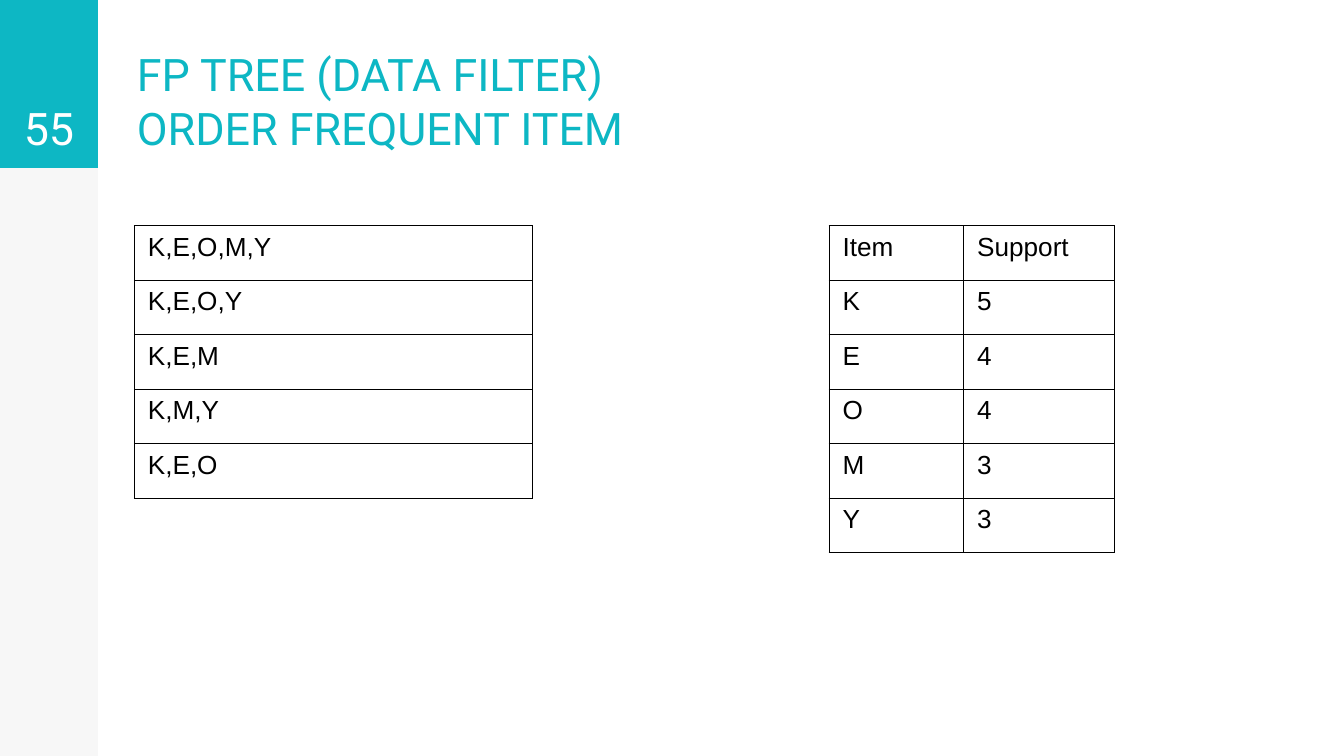
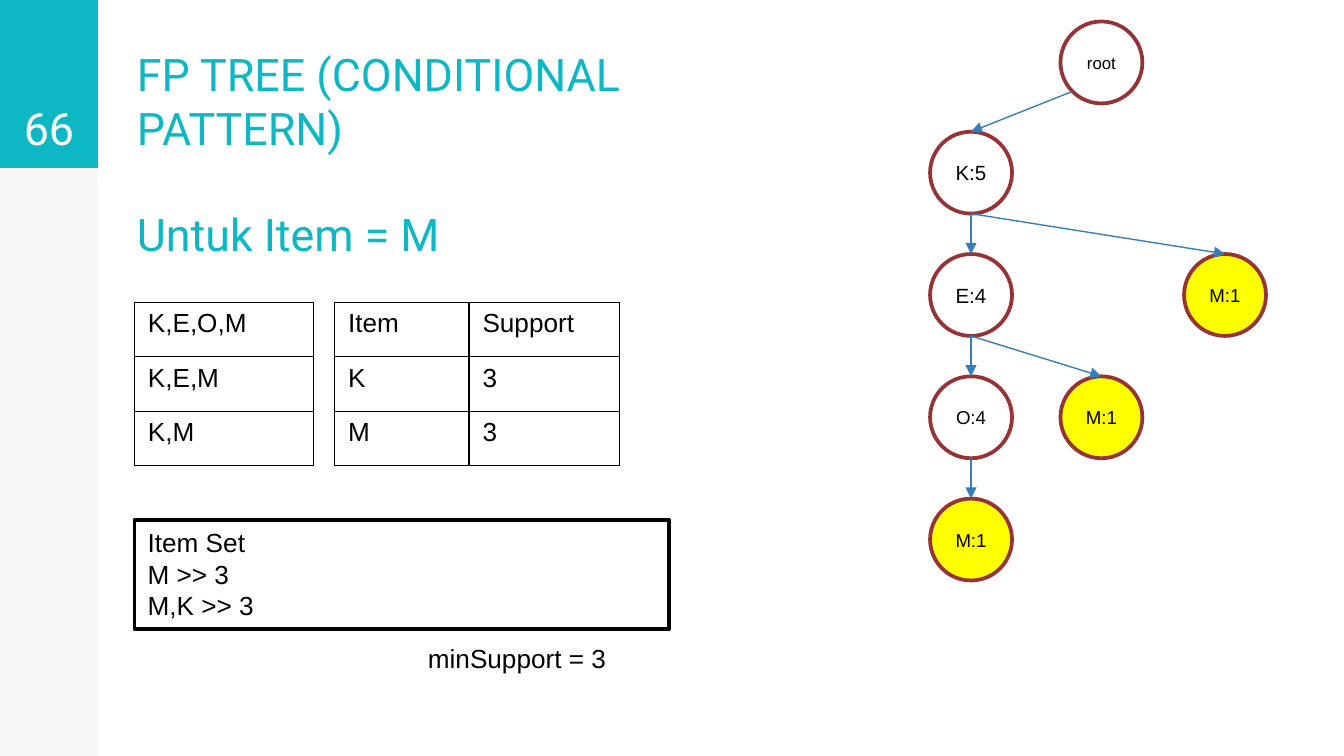
from lxml import etree
from pptx import Presentation
from pptx.dml.color import RGBColor
from pptx.enum.shapes import MSO_CONNECTOR, MSO_SHAPE
from pptx.enum.text import MSO_ANCHOR, PP_ALIGN
from pptx.oxml.ns import qn
from pptx.util import Inches, Pt

STRAIGHT = MSO_CONNECTOR.STRAIGHT
RECTANGLE, OVAL = MSO_SHAPE.RECTANGLE, MSO_SHAPE.OVAL
TOP, MIDDLE, BOTTOM = MSO_ANCHOR.TOP, MSO_ANCHOR.MIDDLE, MSO_ANCHOR.BOTTOM
LEFT, CENTER, RIGHT = PP_ALIGN.LEFT, PP_ALIGN.CENTER, PP_ALIGN.RIGHT

TEAL = RGBColor(0x0D, 0xB7, 0xC4)
WHITE = RGBColor(0xFF, 0xFF, 0xFF)
BLACK = RGBColor(0x00, 0x00, 0x00)
YELLOW = RGBColor(0xFF, 0xFF, 0x00)
MAROON = RGBColor(0x96, 0x33, 0x34)
BLUE = RGBColor(0x36, 0x7E, 0xB9)

HEADING_FONT, BODY_FONT = "Roboto", "Arial"
SLIDE_WIDTH = 10
SLIDE_HEIGHT = SLIDE_WIDTH * 9 / 16
BAND_WIDTH, BAND_HEIGHT = 0.73, 1.25
TITLE_LEFT, TITLE_WIDTH = 0.92, 3.89
CONTENT_LEFT = 1
ROW_HEIGHT = Pt(29.2)
SUPPORT_COLUMNS = [1, 1.12]
NODE_SIZE = 0.61
TREE_TOP, LEVEL_STEP = 0.98, 0.91
TRUNK, BRANCH, FAR_BRANCH = 6.92, 7.89, 8.81


def write(frame, lines, size, color=BLACK, font=BODY_FONT, align=LEFT,
          anchor=TOP):
    """Fill a text frame with one paragraph per line."""
    frame.word_wrap = True
    frame.vertical_anchor = anchor
    for index, line in enumerate(lines):
        paragraph = frame.add_paragraph() if index else frame.paragraphs[0]
        paragraph.alignment = align
        for part_index, part in enumerate(line.split("\n")):
            if part_index:
                paragraph.add_line_break()
            run = paragraph.add_run()
            run.text = part
            run.font.size = Pt(size)
            run.font.name = font
            run.font.color.rgb = color


def add_box(slide, kind, place, fill, line=None):
    """Draw a filled preset shape, outlined when a line colour is given."""
    box = slide.shapes.add_shape(kind, *map(Inches, place))
    box.shadow.inherit = False
    box.fill.solid()
    box.fill.fore_color.rgb = fill
    if line is None:
        box.line.fill.background()
    else:
        box.line.color.rgb = line
        box.line.width = Pt(2)
    return box


def add_label(slide, place, text, size, **style):
    """Place a text box holding one paragraph."""
    label = slide.shapes.add_textbox(*map(Inches, place))
    write(label.text_frame, [text], size, **style)
    return label


def add_heading(slide, place, text, color=TEAL, align=LEFT):
    """Place bottom-anchored heading text with even insets."""
    frame = add_label(slide, place, text, 24, color=color, font=HEADING_FONT,
                      align=align, anchor=BOTTOM).text_frame
    frame.margin_top = frame.margin_bottom = Inches(0.1)


def add_frame(deck, number, title):
    """Add a slide with its side bands, number and title."""
    slide = deck.slides.add_slide(deck.slide_layouts[6])
    side = add_box(slide, RECTANGLE, (0, 0, BAND_WIDTH, SLIDE_HEIGHT), BLACK)
    tint = next(side.fill._xPr.iter(qn("a:srgbClr")))
    etree.SubElement(tint, qn("a:alpha"), val="3000")
    number_place = (0, 0, BAND_WIDTH, BAND_HEIGHT)
    add_box(slide, RECTANGLE, number_place, TEAL)
    add_heading(slide, (TITLE_LEFT, 0, TITLE_WIDTH, BAND_HEIGHT), title)
    add_heading(slide, number_place, number, WHITE, CENTER)
    return slide


def border_cell(cell):
    """Give a cell thin black borders and no fill."""
    properties = cell._tc.get_or_add_tcPr()
    for side in ("a:lnL", "a:lnR", "a:lnT", "a:lnB"):
        edge = etree.SubElement(properties, qn(side), w=str(Pt(0.75)))
        paint = etree.SubElement(edge, qn("a:solidFill"))
        etree.SubElement(paint, qn("a:srgbClr"), val=str(BLACK))
    cell.fill.background()


def add_grid(slide, left, top, widths, rows):
    """Add a plain bordered table."""
    table = slide.shapes.add_table(
        len(rows), len(widths), Inches(left), Inches(top),
        Inches(sum(widths)), ROW_HEIGHT * len(rows)).table
    table.first_row = table.horz_banding = False
    for column, width in zip(table.columns, widths):
        column.width = Inches(width)
    for row, values in zip(table.rows, rows):
        row.height = ROW_HEIGHT
        for cell, value in zip(row.cells, values):
            border_cell(cell)
            write(cell.text_frame, [value], 14)


def add_node(slide, left, top, text, size, fill=WHITE):
    """Draw one round tree node."""
    node = add_box(slide, OVAL, (left, top, NODE_SIZE, NODE_SIZE), fill, MAROON)
    frame = node.text_frame
    frame.margin_left = frame.margin_right = 0
    write(frame, [text], size, align=CENTER, anchor=MIDDLE)
    return node


def add_branch(slide, parent, child, start=None):
    """Draw an arrow from a parent, at its bottom by default, to a child's top."""
    start = start or (parent.left + parent.width // 2,
                      parent.top + parent.height)
    arrow = slide.shapes.add_connector(STRAIGHT, *start, child.left, child.top)
    arrow.end_connect(child, 0)
    arrow.line.color.rgb = BLUE
    arrow.line.width = Pt(0.75)
    etree.SubElement(arrow.line._get_or_add_ln(), qn("a:tailEnd"),
                     type="triangle")
    etree.SubElement(arrow._element.spPr, qn("a:effectLst"))


def add_tree(slide):
    """Draw the FP tree with the M nodes highlighted."""
    levels = [TREE_TOP + LEVEL_STEP * level for level in range(4)]
    root = add_node(slide, BRANCH, 0.16, "root", 9)
    k = add_node(slide, TRUNK, levels[0], "K:5", 11)
    e = add_node(slide, TRUNK, levels[1], "E:4", 11)
    o = add_node(slide, TRUNK, levels[2], "O:4", 10)
    m_under_o, m_under_e, m_under_k = [
        add_node(slide, left, top, "M:1", 10, YELLOW)
        for left, top in ((TRUNK, levels[3]), (BRANCH, levels[2]),
                          (FAR_BRANCH, levels[1]))]
    add_branch(slide, root, k, (Inches(7.98), Inches(0.68)))
    for parent, child in ((k, e), (e, o), (o, m_under_o), (e, m_under_e),
                          (k, m_under_k)):
        add_branch(slide, parent, child)


def add_order_slide(deck):
    """Build the slide on ordering the frequent items."""
    slide = add_frame(deck, "55", "FP TREE (DATA FILTER)\nORDER FREQUENT ITEM")
    add_grid(slide, CONTENT_LEFT, 1.68, [2.96],
             [["K,E,O,M,Y"], ["K,E,O,Y"], ["K,E,M"], ["K,M,Y"], ["K,E,O"]])
    add_grid(slide, 6.17, 1.68, SUPPORT_COLUMNS,
             [["Item", "Support"], ["K", "5"], ["E", "4"], ["O", "4"],
              ["M", "3"], ["Y", "3"]])


def add_conditional_slide(deck):
    """Build the slide on the conditional pattern of M."""
    slide = add_frame(deck, "66", "FP TREE (CONDITIONAL PATTERN)")
    add_heading(slide, (TITLE_LEFT, 1.46, TITLE_WIDTH, 0.58), "Untuk Item = M")
    add_tree(slide)
    add_grid(slide, CONTENT_LEFT, 2.25, [1.33],
             [["K,E,O,M"], ["K,E,M"], ["K,M"]])
    add_grid(slide, 2.49, 2.25, SUPPORT_COLUMNS,
             [["Item", "Support"], ["K", "3"], ["M", "3"]])
    add_label(slide, (2.41, 4.73, 2.2, 0.34), "minSupport = 3", 14, align=RIGHT)
    item_set = add_box(slide, RECTANGLE, (CONTENT_LEFT, 3.87, 3.98, 0.81),
                       WHITE, BLACK)
    write(item_set.text_frame, ["Item Set", "M >> 3", "M,K >> 3"], 14)


def main():
    """Build and save the deck."""
    deck = Presentation()
    deck.slide_width = Inches(SLIDE_WIDTH)
    deck.slide_height = Inches(SLIDE_HEIGHT)
    add_order_slide(deck)
    add_conditional_slide(deck)
    deck.save("out.pptx")


if __name__ == "__main__":
    main()
